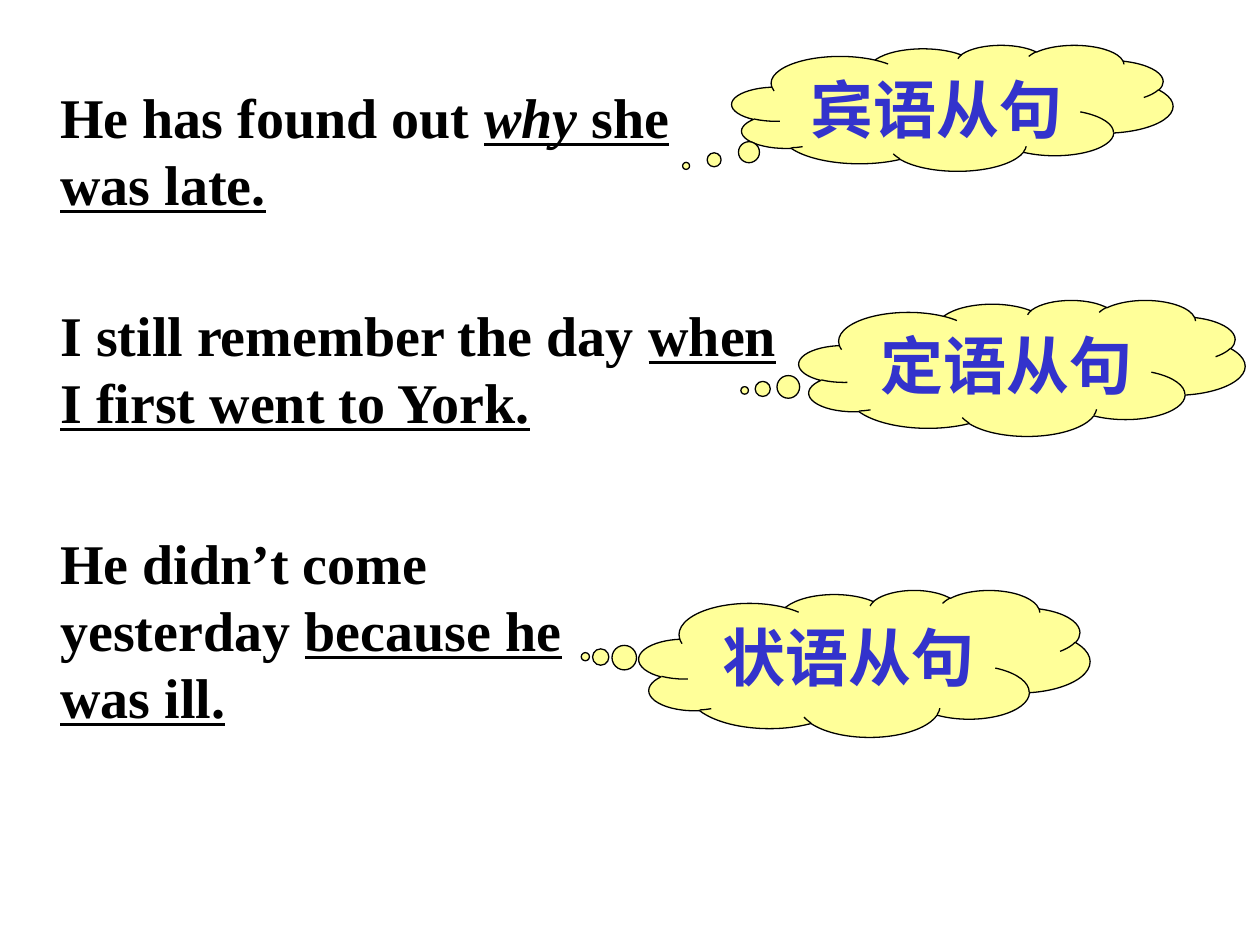
from pptx import Presentation
from pptx.dml.color import RGBColor
from pptx.enum.shapes import MSO_SHAPE as SHAPE
from pptx.enum.text import MSO_ANCHOR as ANCHOR, MSO_AUTO_SIZE as AUTO_SIZE, PP_ALIGN as ALIGN
from pptx.util import Emu, Pt

PX = 914400 // 126
SLIDE_SIZE = (1260, 945)

THEME = {
    "font": "Times New Roman",
    "sentence": (32, RGBColor(0x00, 0x00, 0x00)),
    "clause": (36, RGBColor(0x33, 0x33, 0xCC)),
    "cloud": RGBColor(0xFF, 0xFF, 0x99),
    "outline": RGBColor(0x00, 0x00, 0x00),
    "outline_width": 0.75,
}

# Runs are (text, marks): "u" underlined, "i" italic
SENTENCES = [
    ((48, 76, 688, 147),
     [("He has found out ", ""), ("why", "iu"), (" she was late.", "u")]),
    ((48, 294, 761, 147),
     [("I still remember the day ", ""), ("when I first went to York.", "u")]),
    ((48, 522, 592, 214),
     [("He didn’t come yesterday ", ""), ("because he was ill.", "u")]),
]

# Clause name, cloud box, tail tip relative to the cloud's centre
CLAUSES = [
    ("宾语从句", (732, 45, 441, 126), (-0.604, 0.46)),
    ("状语从句", (639, 590, 451, 147), (-0.619, -0.046)),
    ("定语从句", (799, 300, 446, 136), (-0.622, 0.165)),
]


def px(*lengths):
    return [Emu(length * PX) for length in lengths]


def style(run, role, marks=""):
    size, color = THEME[role]
    font = run.font
    font.name, font.size, font.bold = THEME["font"], Pt(size), True
    font.color.rgb = color
    font.italic = "i" in marks
    font.underline = "u" in marks


def add_sentence(slide, box, runs):
    frame = slide.shapes.add_textbox(*px(*box)).text_frame
    frame.word_wrap = True
    frame.auto_size = AUTO_SIZE.SHAPE_TO_FIT_TEXT
    for text, marks in runs:
        run = frame.paragraphs[0].add_run()
        run.text = text
        style(run, "sentence", marks)


def add_clause(slide, name, box, tail):
    cloud = slide.shapes.add_shape(SHAPE.CLOUD_CALLOUT, *px(*box))
    cloud.shadow.inherit = False
    cloud.adjustments[0], cloud.adjustments[1] = tail
    cloud.fill.solid()
    cloud.fill.fore_color.rgb = THEME["cloud"]
    cloud.line.color.rgb = THEME["outline"]
    cloud.line.width = Pt(THEME["outline_width"])
    frame = cloud.text_frame
    frame.word_wrap = True
    frame.vertical_anchor = ANCHOR.TOP
    frame.text = name
    label = frame.paragraphs[0]
    label.alignment = ALIGN.CENTER
    style(label.runs[0], "clause")


def main():
    deck = Presentation()
    deck.slide_width, deck.slide_height = px(*SLIDE_SIZE)
    slide = deck.slides.add_slide(deck.slide_layouts[6])
    for sentence in SENTENCES:
        add_sentence(slide, *sentence)
    for clause in CLAUSES:
        add_clause(slide, *clause)
    deck.save("out.pptx")


if __name__ == "__main__":
    main()
